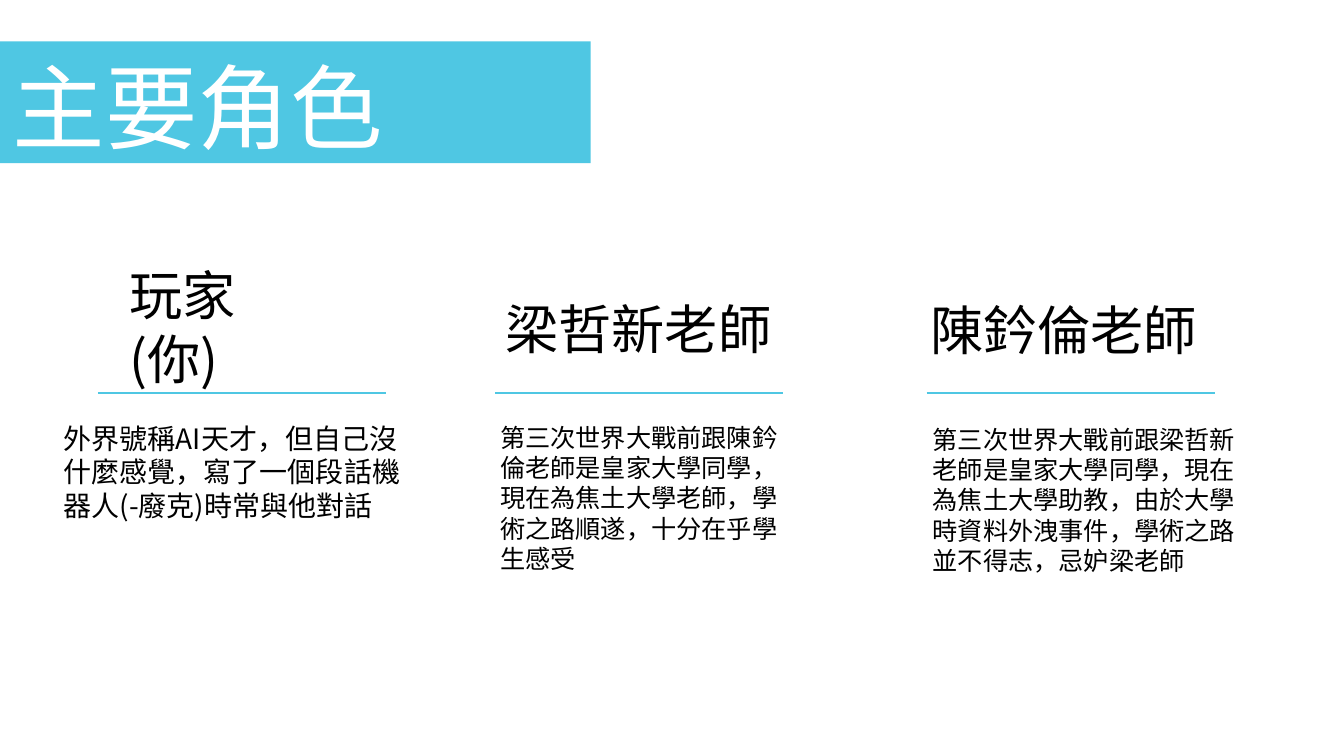
from lxml.etree import SubElement
from pptx import Presentation
from pptx.dml.color import RGBColor
from pptx.enum.shapes import MSO_CONNECTOR, MSO_SHAPE
from pptx.enum.text import MSO_ANCHOR, MSO_AUTO_SIZE
from pptx.oxml.ns import qn
from pptx.util import Inches, Pt

COLORS = {"accent": "4FC7E3", "text": "000000", "title": "FFFFFF"}
BODY_FONT, NAME_FONT = "Noto Sans CJK SC", "Noto Sans CJK TC"
RULE_TOP, RULE_WIDTH = 3.9, 2.86
NAME_HEIGHT = 0.75

deck = Presentation()
deck.slide_width, deck.slide_height = Inches(13.33), Inches(7.5)
page = deck.slides.add_slide(deck.slide_layouts[6])


def add_text(text, left, top, width, height, size, font=BODY_FONT,
             color="text", anchor=MSO_ANCHOR.TOP, inset=0.06):
    box = page.shapes.add_textbox(*map(Inches, (left, top, width, height)))
    frame = box.text_frame
    frame.word_wrap = True
    frame.auto_size = MSO_AUTO_SIZE.SHAPE_TO_FIT_TEXT
    frame.vertical_anchor = anchor
    frame.margin_left = frame.margin_right = Inches(inset)
    frame.margin_top = frame.margin_bottom = Inches(min(inset, 0.06))
    span = frame.paragraphs[0].add_run()
    span.text = text
    span.font.size = Pt(size)
    span.font.name = font
    span.font.color.rgb = RGBColor.from_string(COLORS[color])
    SubElement(span.font._element, qn("a:ea")).set("typeface", font)


banner = page.shapes.add_shape(
    MSO_SHAPE.RECTANGLE, 0, Inches(0.41), Inches(5.86), Inches(1.21))
banner.shadow.inherit = False
banner.fill.solid()
banner.fill.fore_color.rgb = RGBColor.from_string(COLORS["accent"])
banner.line.fill.background()
add_text("主要角色", 0.03, 0.44, 4.16, 1.21, 66, color="title", inset=0.1)

# Each role: rule left; name with left, top, width; story with left, top, width, height, size
roles = [
    (0.97, "玩家(你)", (1.22, 2.86, 2.03),
     "外界號稱AI天才，但自己沒什麼感覺，寫了一個段話機器人(-廢克)時常與他對話",
     (0.57, 4.12, 3.62, 1.12, 20)),
    (4.91, "梁哲新老師", (4.95, 2.88, 2.78),
     "第三次世界大戰前跟陳鈐倫老師是皇家大學同學，現在為焦土大學老師，學術之路順遂，十分在乎學生感受",
     (4.9, 4.13, 2.98, 1.63, 18)),
    (9.19, "陳鈐倫老師", (9.17, 2.89, 2.78),
     "第三次世界大戰前跟梁哲新老師是皇家大學同學，現在為焦土大學助教，由於大學時資料外洩事件，學術之路並不得志，忌妒梁老師",
     (9.19, 4.15, 3.13, 1.63, 18)),
]
for rule_left, name, name_place, story, story_place in roles:
    add_text(name, *name_place, NAME_HEIGHT, 38, font=NAME_FONT, anchor=MSO_ANCHOR.MIDDLE)
    add_text(story, *story_place)
    rule = page.shapes.add_connector(
        MSO_CONNECTOR.STRAIGHT, Inches(rule_left), Inches(RULE_TOP),
        Inches(rule_left + RULE_WIDTH), Inches(RULE_TOP))
    rule.line.color.rgb = RGBColor.from_string(COLORS["accent"])
    rule.line.width = Pt(1)
    SubElement(rule._element.spPr, qn("a:effectLst"))

deck.save("out.pptx")
